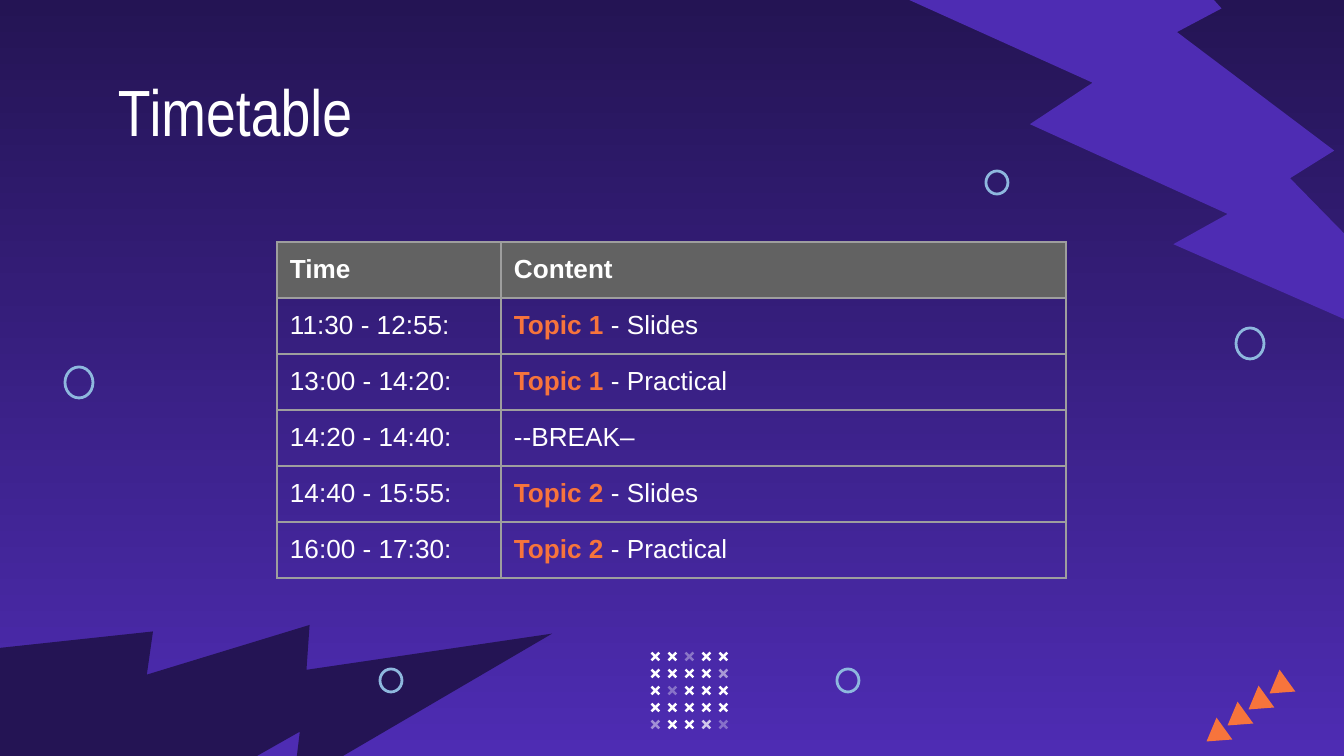
from lxml.etree import SubElement
from pptx import Presentation
from pptx.dml.color import RGBColor
from pptx.enum.shapes import MSO_SHAPE as Preset
from pptx.enum.text import MSO_ANCHOR as Anchor, MSO_AUTO_SIZE as AutoSize, PP_ALIGN as Align
from pptx.oxml.ns import qn
from pptx.util import Emu, Pt

NIGHT, VIOLET, WHITE = "241454", "4E2CB3", "FFFFFF"
ORANGE, SKY, GREY, BORDER = "F7743C", "8EB8DE", "626262", "9E9E9E"

HEADERS = ("Time", "Content")
SESSIONS = [
    ("11:30 - 12:55:", "Topic 1", " - Slides"),
    ("13:00 - 14:20:", "Topic 1", " - Practical"),
    ("14:20 - 14:40:", "", "--BREAK–"),
    ("14:40 - 15:55:", "Topic 2", " - Slides"),
    ("16:00 - 17:30:", "Topic 2", " - Practical"),
]
RINGS = [(380, 669, 22, 23), (1236, 328, 28, 31), (65, 367, 28, 31),
         (837, 669, 22, 23), (986, 171, 22, 23)]
FADED_CROSSES = {(0, 2): 36, (1, 4): 53, (2, 1): 34, (4, 0): 48, (4, 3): 75, (4, 4): 33}


def px(length):
    """Turn whole pixels into EMU."""
    return Emu(round(length * 914400 / 134.4))


def rgb(code):
    """Turn a hex string into a colour."""
    return RGBColor.from_string(code)


def apply(target, values):
    """Set each attribute named in a dict."""
    for name, value in values.items():
        setattr(target, name, value)


class TimetableSlide:
    """Hold the style and the current slide."""

    INSETS = dict.fromkeys(("margin_left", "margin_right", "margin_top", "margin_bottom"), px(13))
    TITLE = {"name": "Arial Narrow", "size": Pt(35), "bold": False}
    CELL = {"name": "Arial", "size": Pt(14)}

    def __init__(self, deck):
        """Add a title-only slide with the gradient background."""
        self.slide = deck.slides.add_slide(deck.slide_layouts[5])
        fill = self.slide.background.fill
        fill.gradient()
        fill.gradient_angle = 270
        for stop, code in zip(fill.gradient_stops, (NIGHT, VIOLET)):
            stop.color.rgb = rgb(code)

    def group(self):
        """Add an empty group and return its shapes."""
        return self.slide.shapes.add_group_shape().shapes

    def shape(self, preset, box, fill=None, line=None, rotation=0, alpha=None, adjust=None, parent=None):
        """Add a preset shape to the slide or to a group."""
        shape = (parent or self.slide.shapes).add_shape(preset, *map(px, box))
        shape.shadow.inherit = False
        shape.rotation = rotation
        if adjust is not None:
            shape.adjustments[0] = adjust
        if fill:
            shape.fill.solid()
            shape.fill.fore_color.rgb = rgb(fill)
        else:
            shape.fill.background()
        if line:
            shape.line.color.rgb = rgb(line)
            shape.line.width = Pt(1.5)
        else:
            shape.line.fill.background()
        if alpha is not None:
            color = shape.fill._xPr.find(".//" + qn("a:srgbClr"))
            SubElement(color, qn("a:alpha"), val=str(alpha * 1000))

    def run(self, paragraph, text, style, color, bold=False):
        """Add one formatted run."""
        run = paragraph.add_run()
        run.text = text
        apply(run.font, {**style, "bold": bold})
        run.font.color.rgb = rgb(color)

    def title(self, text, box):
        """Place and fill the title placeholder."""
        title = self.slide.shapes.title
        apply(title, dict(zip(("left", "top", "width", "height"), map(px, box))))
        frame = title.text_frame
        apply(frame, {**self.INSETS, "word_wrap": True, "auto_size": AutoSize.NONE,
                      "vertical_anchor": Anchor.TOP})
        frame.paragraphs[0].alignment = Align.LEFT
        self.run(frame.paragraphs[0], text, self.TITLE, WHITE)

    def cell(self, cell, runs, fill=None):
        """Fill and border one cell; runs are (text, colour, bold)."""
        apply(cell, {**self.INSETS, "vertical_anchor": Anchor.TOP})
        properties = cell._tc.get_or_add_tcPr()
        for side in ("lnL", "lnR", "lnT", "lnB"):
            edge = SubElement(properties, qn(f"a:{side}"), w=str(Pt(0.75)))
            SubElement(SubElement(edge, qn("a:solidFill")), qn("a:srgbClr"), val=BORDER)
        if fill:
            cell.fill.solid()
            cell.fill.fore_color.rgb = rgb(fill)
        else:
            cell.fill.background()
        for text, color, bold in runs:
            self.run(cell.text_frame.paragraphs[0], text, self.CELL, color, bold)

    def timetable(self, left, top, widths, row_height):
        """Add the table of sessions."""
        count = len(SESSIONS) + 1
        table = self.slide.shapes.add_table(
            count, len(widths), px(left), px(top), px(sum(widths)), px(row_height * count)).table
        apply(table, {"first_row": False, "horz_banding": False})
        for column, width in zip(table.columns, widths):
            column.width = px(width)
        for row in table.rows:
            row.height = px(row_height)
        for index, header in enumerate(HEADERS):
            self.cell(table.cell(0, index), [(header, WHITE, True)], GREY)
        for index, (time, topic, detail) in enumerate(SESSIONS, 1):
            content = [(topic, ORANGE, True)] if topic else []
            self.cell(table.cell(index, 0), [(time, WHITE, False)])
            self.cell(table.cell(index, 1), content + [(detail, WHITE, False)])


def main():
    """Build and save the timetable slide."""
    deck = Presentation()
    apply(deck, {"slide_width": px(1344), "slide_height": px(756)})
    page = TimetableSlide(deck)
    page.shape(Preset.LIGHTNING_BOLT, (902, -144, 560, 560), VIOLET, rotation=353.7)
    page.shape(Preset.LIGHTNING_BOLT, (-20, 482, 484, 484), NIGHT, rotation=299.7)
    page.title("Timetable", (105, 58, 1133, 86))

    arrows = page.group()
    for step in range(4):
        page.shape(Preset.ISOSCELES_TRIANGLE, (1265 - 21 * step, 676 + 16 * step, 27, 22),
                   ORANGE, rotation=234.2, parent=arrows)
    rings = page.group()
    for box in RINGS:
        page.shape(Preset.OVAL, box, line=SKY, parent=rings)
    crosses = page.group()
    for row in range(5):
        for column in range(5):
            page.shape(Preset.CROSS, (650 + 17 * column, 651 + 17 * row, 11, 11), WHITE, rotation=315,
                       alpha=FADED_CROSSES.get((row, column)), adjust=0.39, parent=crosses)

    page.timetable(277, 242, (224, 565), 56)
    deck.save("out.pptx")


if __name__ == "__main__":
    main()
